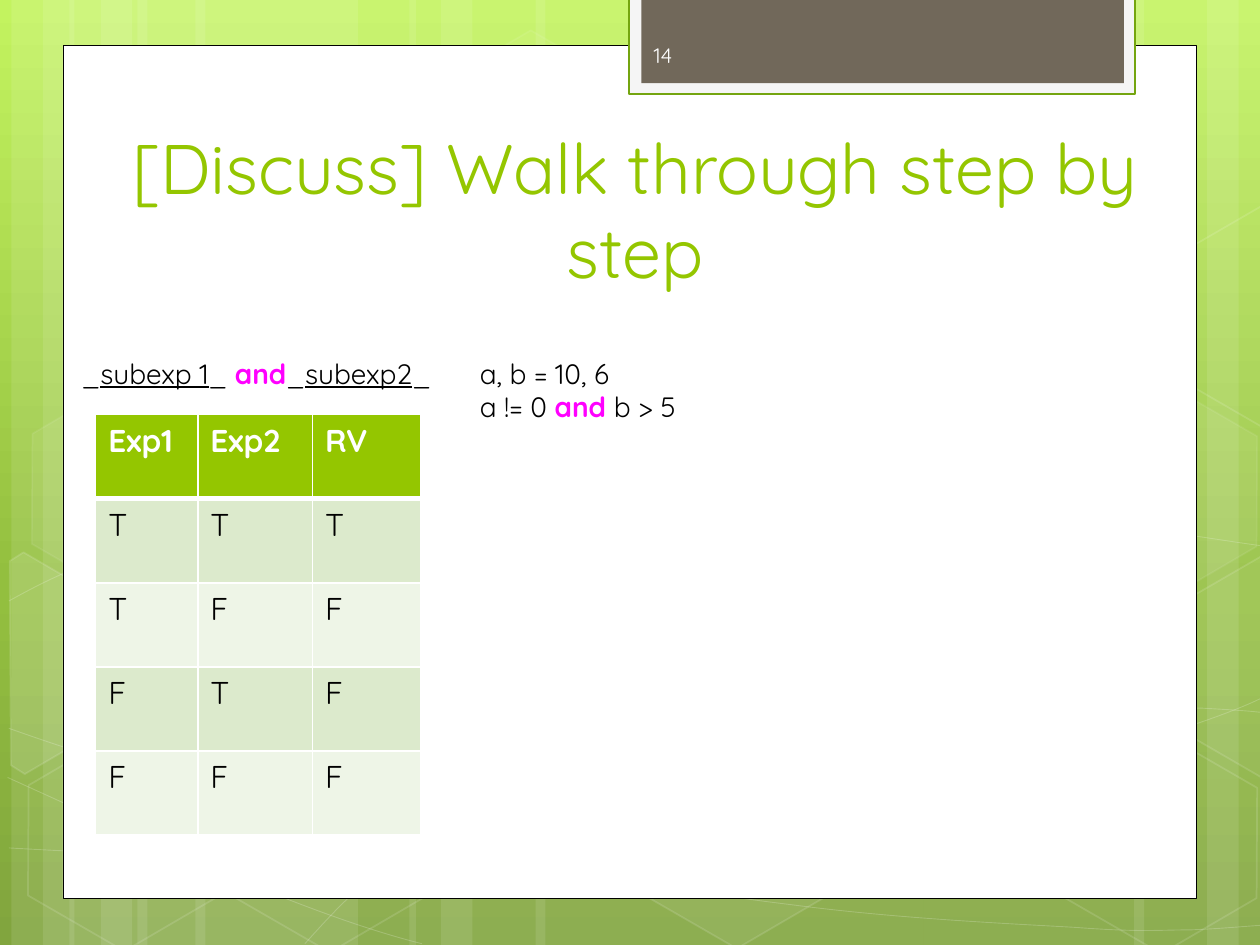
"""Build a slide that walks through the truth table of the and operator."""
from copy import deepcopy
from math import cos, radians, sin

from lxml import etree
from pptx import Presentation
from pptx.dml.color import RGBColor
from pptx.enum.shapes import MSO_SHAPE
from pptx.enum.text import MSO_ANCHOR, PP_ALIGN
from pptx.oxml.ns import qn
from pptx.util import Inches, Pt

RECTANGLE, HEXAGON = MSO_SHAPE.RECTANGLE, MSO_SHAPE.HEXAGON
TOP, MIDDLE, BOTTOM = MSO_ANCHOR.TOP, MSO_ANCHOR.MIDDLE, MSO_ANCHOR.BOTTOM
LEFT, CENTER = PP_ALIGN.LEFT, PP_ALIGN.CENTER
FONT = "Quicksand"
COLORS = {
    "white": "FFFFFF", "black": "000000", "green": "94C600", "magenta": "FF00FF",
    "band": "DCEACC", "pale": "EEF5E7", "tab": "F5F5F5", "tab_edge": "74A510",
    "brown": "71685A", "number": "FEFEFE",
    "sky": "C3F35F", "leaf": "93BF3F", "moss": "81A53E",
}
BACKGROUND = [(0, "sky"), (0.62, "leaf"), (1, "moss")]
STRIPES = [
    (1.09, 1.75, 0), (0.09, 0.5, 0), (0.34, 0.83, 0), (1.55, 1.75, 0), (0.55, 0.5, 0),
    (0.8, 0.83, 0), (7.33, 1.75, 180), (9.58, 0.5, 180), (9, 0.83, 180),
    (4.25, 3.08, 0), (3.25, 0.5, 0), (3.5, 0.83, 0),
]
CURVES = [
    [(0.07, 6.73), (0.61, 6.76), (1.15, 6.79), (1.9, 6.78), (2.65, 6.77), (3.58, 6.75),
     (4.58, 6.65), (5.58, 6.55), (7, 6.36), (7.92, 6.17), (8.83, 5.98), (9.77, 5.68),
     (10.07, 5.51)],
    [(0.07, 4.77), (0.36, 4.61), (0.65, 4.46), (1.21, 4.31), (1.78, 4.16), (2.59, 3.94),
     (3.47, 3.87), (4.36, 3.8), (5.44, 3.79), (6.54, 3.87), (7.64, 3.95), (9.47, 4.26),
     (10.07, 4.34)],
    [(0.06, 6.17), (1.27, 6.72), (2.47, 7.27), (3.35, 7.49)],
    [(0.07, 5.78), (0.38, 5.89), (0.7, 6), (1.28, 6.16), (1.86, 6.31), (2.73, 6.56),
     (3.57, 6.73), (4.4, 6.9), (5.45, 7.08), (6.28, 7.18), (7.11, 7.29), (8, 7.33),
     (8.53, 7.36), (9.06, 7.4), (9.19, 7.38), (9.45, 7.38), (9.71, 7.37), (9.89, 7.35),
     (10.07, 7.34)],
    [(2.42, 7.49), (2.6, 7.29), (2.78, 7.09), (3.02, 6.91), (3.26, 6.72), (3.6, 6.53),
     (3.88, 6.39), (4.16, 6.25), (4.33, 6.19), (4.69, 6.09), (5.06, 5.99), (5.73, 5.85),
     (6.08, 5.78), (6.44, 5.71), (6.49, 5.71), (6.8, 5.69), (7.11, 5.66), (7.6, 5.63),
     (7.94, 5.62), (8.29, 5.61), (8.86, 5.62), (8.86, 5.62), (9.08, 5.62), (9.31, 5.62),
     (9.53, 5.62), (9.71, 5.63), (9.88, 5.64), (9.97, 5.65), (10.06, 5.66), (10.03, 5.65),
     (10.06, 5.66)],
]
HEXAGONS = [
    (3.34, 0.36, 4, 8), (4.97, 5.89, 6, 12), (0.11, 5.91, 0, 12), (0.14, 3.12, 7, 8),
    (1.74, 5.92, 0, 12), (7.53, 4.53, 10, 12), (8.34, 5.93, 0, 12), (8.34, 3.14, 7, 8),
]
CUT_HEXAGONS = [
    ((0.36, 5.36), 10,
     [(0.08, 4.45), (0.19, 4.38), (0.96, 4.83), (0.95, 5.7), (0.2, 6.14), (0.09, 6.07)]),
    ((9.85, 5.2), 4,
     [(9.26, 4.85), (10.02, 4.41), (10.09, 4.46), (10.09, 6.13), (10.02, 6.17), (9.26, 5.73)]),
    ((9.85, 2.41), 0,
     [(9.26, 2.07), (10.02, 1.63), (10.1, 1.68), (10.09, 3.35), (10.02, 3.39), (9.26, 2.95)]),
]
TILT = 30
PANELS = [
    ((0.5, 0.36, 9, 6.77), "white", "black", 0.5),
    ((4.99, -0.02, 4.02, 0.77), "tab", "tab_edge", 1.25),
    ((5.09, -0.02, 3.83, 0.68), "brown", None, 0),
]
PLAIN, UNDERLINED, KEYWORD = ("black", False, False), ("black", False, True), ("magenta", True, False)
TEXTS = [
    ((0.52, 1.12, 9.04, 1.25), 40, CENTER, BOTTOM,
     [[("[Discuss] Walk through step by step", ("green", False, False))]]),
    ((5.09, 0.24, 1.46, 0.4), 12, LEFT, MIDDLE, [[("14", ("number", False, False))]]),
    ((0.55, 2.78, 3.42, 0.37), 16, LEFT, TOP,
     [[("_", PLAIN), ("subexp 1", UNDERLINED), ("_ ", PLAIN), ("and", KEYWORD),
       ("_", PLAIN), ("subexp2", UNDERLINED), ("_", PLAIN)]]),
    ((3.71, 2.78, 3.1, 0.64), 16, LEFT, TOP,
     [[("a, b = 10, 6", PLAIN)],
      [("a != 0 ", PLAIN), ("and", KEYWORD), (" b > 5", PLAIN)]]),
]
TRUTH_TABLE = [("Exp1", "Exp2", "RV"), "TTT", "TFF", "FTF", "FFF"]
TABLE_AT = (0.76, 3.29, 2.58, 3.34)
COLUMN_WIDTHS = [0.81, 0.91, 0.86]


def rgb(name):
    return RGBColor.from_string(COLORS[name])


def fade(shape, place, percent):
    if percent < 100:
        color = shape._element.spPr.find("/".join(qn(tag) for tag in place))
        etree.SubElement(color, qn("a:alpha")).set("val", str(percent * 1000))


def paint(shape, fill=None, line=None, width=1, fill_alpha=100, line_alpha=100):
    shape.shadow.inherit = False
    if fill and fill_alpha:
        shape.fill.solid()
        shape.fill.fore_color.rgb = rgb(fill)
        fade(shape, ("a:solidFill", "a:srgbClr"), fill_alpha)
    else:
        shape.fill.background()
    if line:
        shape.line.width = Pt(width)
        shape.line.color.rgb = rgb(line)
        fade(shape, ("a:ln", "a:solidFill", "a:srgbClr"), line_alpha)
    else:
        shape.line.fill.background()


def add_preset(page, kind, at, rotation=0):
    shape = page.shapes.add_shape(kind, *map(Inches, at))
    shape.rotation = rotation
    return shape


def add_outline(page, points, close):
    start, *rest = [(Inches(x), Inches(y)) for x, y in points]
    builder = page.shapes.build_freeform(*start)
    builder.add_line_segments(rest, close=close)
    return builder.convert_to_shape()


def add_curve(page, points):
    curve = add_outline(page, points, False)
    route = curve._element.find(".//" + qn("a:path"))
    lines = route.findall(qn("a:lnTo"))
    for first in range(0, len(lines), 3):
        bend = etree.SubElement(route, qn("a:cubicBezTo"))
        for line in lines[first:first + 3]:
            bend.append(line[0])
            route.remove(line)
    return curve


def turn_back(points, center):
    cosine, sine = cos(radians(TILT)), sin(radians(TILT))
    offsets = [(x - center[0], y - center[1]) for x, y in points]
    return [(center[0] + x * cosine + y * sine, center[1] + y * cosine - x * sine)
            for x, y in offsets]


def add_span(para, text, size, color, bold=False, underline=False):
    span = para.add_run()
    span.text = text
    span.font.name, span.font.size = FONT, Pt(size)
    span.font.bold, span.font.underline = bold, underline
    span.font.color.rgb = rgb(color)


def add_background(page):
    fill = page.background.fill
    fill.gradient()
    fill.gradient_angle = 270
    stops = page._element.find(".//" + qn("a:gsLst"))
    stops.append(deepcopy(stops[0]))
    for stop, (position, color) in zip(fill.gradient_stops, BACKGROUND):
        stop.position = position
        stop.color.rgb = rgb(color)


def add_decoration(page):
    for left, width, rotation in STRIPES:
        stripe = add_preset(page, RECTANGLE, (left, 0, width, 7.5), rotation)
        paint(stripe, "white", fill_alpha=10)
    for points in CURVES:
        paint(add_curve(page, points), None, "white", 0.5, line_alpha=20)
    for left, top, fill_alpha, line_alpha in HEXAGONS:
        hexagon = add_preset(page, HEXAGON, (left, top, 1.75, 1.52), TILT)
        hexagon.adjustments[0] = 0.285
        paint(hexagon, "white", "white", 1, fill_alpha, line_alpha)
    for center, fill_alpha, points in CUT_HEXAGONS:
        hexagon = add_outline(page, turn_back(points, center), True)
        hexagon.rotation = TILT
        paint(hexagon, "white", "white", 1, fill_alpha, 12)
    for at, fill, line, width in PANELS:
        paint(add_preset(page, RECTANGLE, at), fill, line, width)


def add_text(page, at, size, align, anchor, lines):
    frame = page.shapes.add_textbox(*map(Inches, at)).text_frame
    frame.word_wrap = True
    frame.vertical_anchor = anchor
    for index, line in enumerate(lines):
        para = frame.add_paragraph() if index else frame.paragraphs[0]
        para.alignment = align
        for text, look in line:
            add_span(para, text, size, *look)


def set_borders(cell, bottom_width):
    properties = cell._tc.get_or_add_tcPr()
    widths = {"a:lnL": 1, "a:lnR": 1, "a:lnT": 1, "a:lnB": bottom_width}
    for index, (tag, width) in enumerate(widths.items()):
        border = etree.Element(qn(tag), w=str(Pt(width)))
        solid = etree.SubElement(border, qn("a:solidFill"))
        etree.SubElement(solid, qn("a:srgbClr")).set("val", COLORS["white"])
        properties.insert(index, border)


def add_truth_table(page):
    table = page.shapes.add_table(len(TRUTH_TABLE), len(COLUMN_WIDTHS), *map(Inches, TABLE_AT)).table
    for column, width in zip(table.columns, COLUMN_WIDTHS):
        column.width = Inches(width)
    for row, values in enumerate(TRUTH_TABLE):
        header = row == 0
        for column, value in enumerate(values):
            cell = table.cell(row, column)
            cell.fill.solid()
            cell.fill.fore_color.rgb = rgb("green" if header else ("pale", "band")[row % 2])
            set_borders(cell, 3 if header else 1)
            add_span(cell.text_frame.paragraphs[0], value, 18, "white" if header else "black", header)


def main():
    deck = Presentation()
    deck.slide_width, deck.slide_height = Inches(10), Inches(7.5)
    page = deck.slides.add_slide(deck.slide_layouts[6])
    add_background(page)
    add_decoration(page)
    for text in TEXTS:
        add_text(page, *text)
    add_truth_table(page)
    deck.save("out.pptx")


if __name__ == "__main__":
    main()
